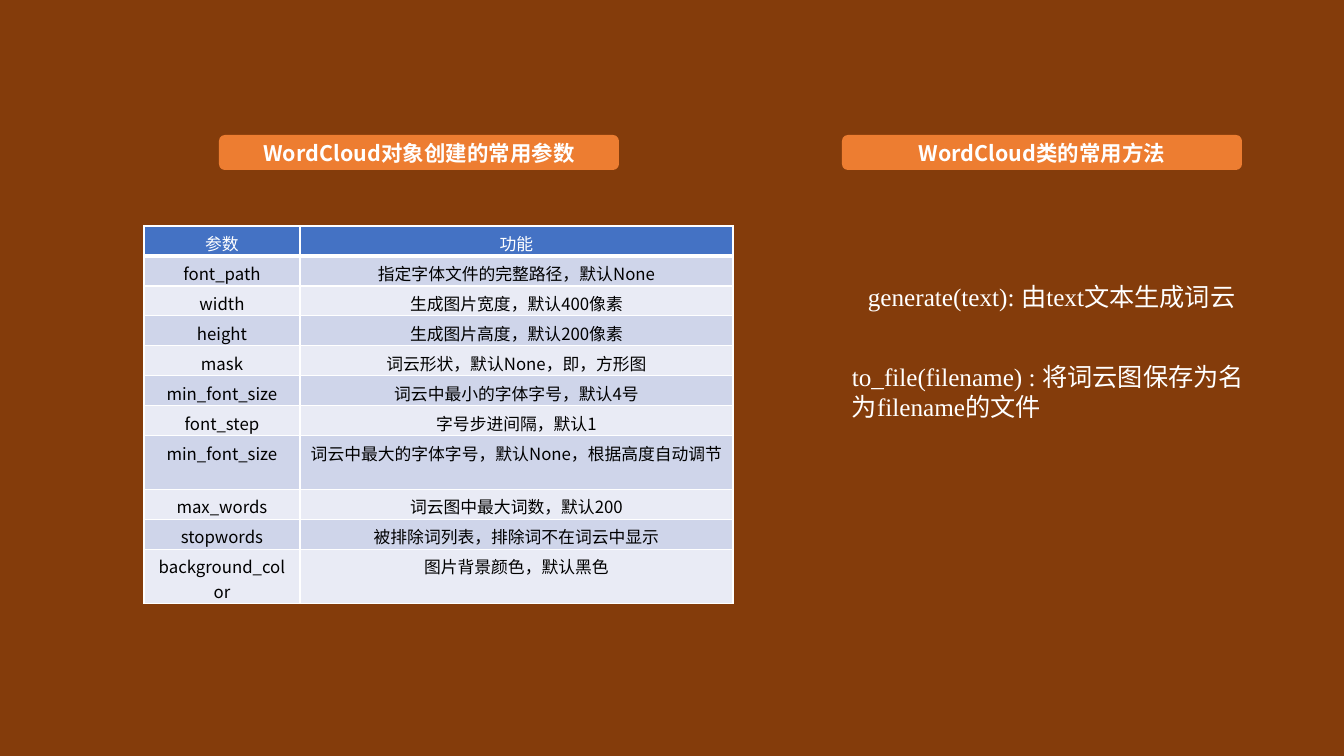
import dataclasses
import typing

import lxml.etree
import pptx
import pptx.dml.color
import pptx.enum.shapes
import pptx.enum.text
import pptx.oxml.ns
import pptx.util

EMU_PER_PX = 914400 / 100.8
SANS = "Noto Sans CJK SC"
SERIF = "Times New Roman"
WHITE, BLACK, BROWN, ORANGE = "FFFFFF", "000000", "843C0B", "ED7D31"
HEADER_FILL, BAND_FILLS = "4472C4", ("CFD5EA", "E9EBF5")
CENTER = pptx.enum.text.PP_ALIGN.CENTER


@dataclasses.dataclass(frozen=True)
class Heading:
    x: int
    text: str


@dataclasses.dataclass(frozen=True)
class Method:
    x: int
    y: int
    w: int
    h: int
    runs: tuple[tuple[str, str], ...]


HEADINGS = (
    Heading(219, "WordCloud对象创建的常用参数"),
    Heading(842, "WordCloud类的常用方法"),
)
METHODS = (
    Method(858, 276, 391, 40, (
        ("generate(text): ", SERIF), ("由", SANS),
        ("text", SERIF), ("文本生成词云", SANS))),
    Method(842, 356, 436, 72, (
        ("to_file(filename) : ", SERIF), ("将词云图保存为名为", SANS),
        ("filename", SERIF), ("的文件", SANS))),
)
PARAMETERS = (
    ("参数", "功能"),
    ("font_path", "指定字体文件的完整路径，默认None"),
    ("width", "生成图片宽度，默认400像素"),
    ("height", "生成图片高度，默认200像素"),
    ("mask", "词云形状，默认None，即，方形图"),
    ("min_font_size", "词云中最小的字体字号，默认4号"),
    ("font_step", "字号步进间隔，默认1"),
    ("min_font_size", "词云中最大的字体字号，默认None，根据高度自动调节"),
    ("max_words", "词云图中最大词数，默认200"),
    ("stopwords", "被排除词列表，排除词不在词云中显示"),
    ("background_color", "图片背景颜色，默认黑色"),
)
COLUMN_WIDTHS = (156, 433)
ROW_HEIGHT = 30


def px(n: int) -> pptx.util.Emu:
    return pptx.util.Emu(round(n * EMU_PER_PX))


def rgb(color: str) -> pptx.dml.color.RGBColor:
    return pptx.dml.color.RGBColor.from_string(color)


def set_fill(fill: typing.Any, color: str) -> None:
    fill.solid()
    fill.fore_color.rgb = rgb(color)


def add_run(p: typing.Any, text: str, font: str, size: float,
            color: str, bold: bool = False) -> None:
    """Add a run whose Latin and East Asian fonts are the same."""
    r = p.add_run()
    r.text = text
    formats = {"name": font, "size": pptx.util.Pt(size), "bold": bold}
    for name, value in formats.items():
        setattr(r.font, name, value)
    r.font.color.rgb = rgb(color)
    ea = lxml.etree.SubElement(r.font._element, pptx.oxml.ns.qn("a:ea"))
    ea.set("typeface", font)


def add_heading(slide: typing.Any, heading: Heading) -> None:
    sp = slide.shapes.add_shape(
        pptx.enum.shapes.MSO_SHAPE.ROUNDED_RECTANGLE,
        px(heading.x), px(135), px(400), px(35))
    sp.shadow.inherit = False
    set_fill(sp.fill, ORANGE)
    sp.line.fill.background()
    tf = sp.text_frame
    tf.word_wrap = False
    tf.vertical_anchor = pptx.enum.text.MSO_ANCHOR.MIDDLE
    p = tf.paragraphs[0]
    p.alignment = CENTER
    add_run(p, heading.text, SANS, 15.3, WHITE, bold=True)


def add_method(slide: typing.Any, method: Method) -> None:
    sp = slide.shapes.add_textbox(
        px(method.x), px(method.y), px(method.w), px(method.h))
    tf = sp.text_frame
    tf.word_wrap = True
    tf.auto_size = pptx.enum.text.MSO_AUTO_SIZE.SHAPE_TO_FIT_TEXT
    for text, font in method.runs:
        add_run(tf.paragraphs[0], text, font, 18, WHITE)


def set_borders(cell: typing.Any, widths: dict[str, int]) -> None:
    """Draw white cell borders; widths are points keyed by side."""
    tc_pr = cell._tc.get_or_add_tcPr()
    for side, width in widths.items():
        ln = lxml.etree.SubElement(tc_pr, pptx.oxml.ns.qn(f"a:ln{side}"))
        ln.set("w", str(pptx.util.Pt(width)))
        fill = lxml.etree.SubElement(ln, pptx.oxml.ns.qn("a:solidFill"))
        color = lxml.etree.SubElement(fill, pptx.oxml.ns.qn("a:srgbClr"))
        color.set("val", WHITE)


def add_parameter_table(slide: typing.Any) -> None:
    table = slide.shapes.add_table(
        len(PARAMETERS), len(COLUMN_WIDTHS), px(144), px(226),
        px(sum(COLUMN_WIDTHS)), px(ROW_HEIGHT * len(PARAMETERS))).table
    table.first_row = table.horz_banding = False
    for column, width in zip(table.columns, COLUMN_WIDTHS):
        column.width = px(width)
    for i, texts in enumerate(PARAMETERS):
        table.rows[i].height = px(ROW_HEIGHT)
        is_header = i == 0
        for j, text in enumerate(texts):
            cell = table.cell(i, j)
            cell.margin_top, cell.margin_bottom = px(5), 0
            set_borders(cell, {"L": 1, "R": 1, "T": 3 if i == 1 else 1,
                               "B": 3 if is_header else 1})
            set_fill(cell.fill,
                     HEADER_FILL if is_header else BAND_FILLS[(i - 1) % 2])
            p = cell.text_frame.paragraphs[0]
            p.alignment = CENTER
            add_run(p, text, SANS, 12, WHITE if is_header else BLACK)


def main() -> None:
    prs = pptx.Presentation()
    prs.slide_width, prs.slide_height = px(1344), px(756)
    slide = prs.slides.add_slide(prs.slide_layouts[6])
    set_fill(slide.background.fill, BROWN)
    add_parameter_table(slide)
    for heading in HEADINGS:
        add_heading(slide, heading)
    for method in METHODS:
        add_method(slide, method)
    prs.save("out.pptx")


if __name__ == "__main__":
    main()
